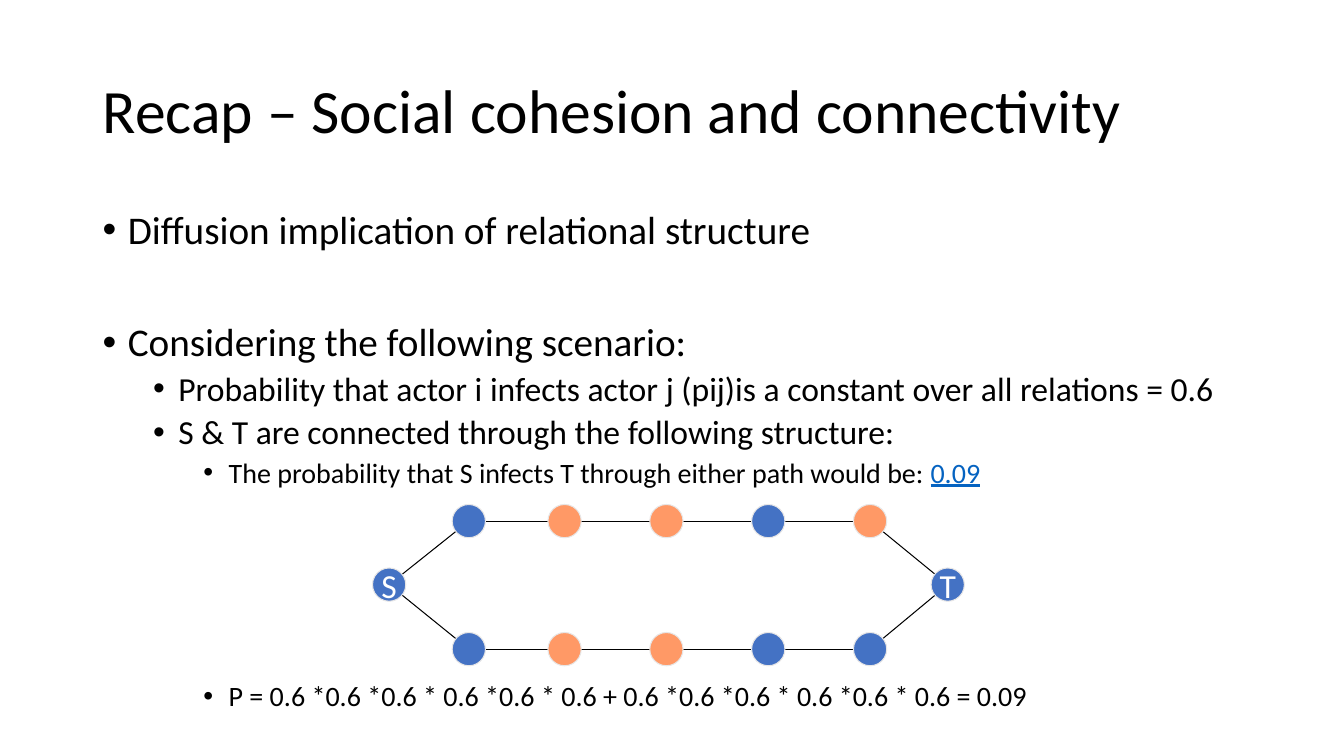
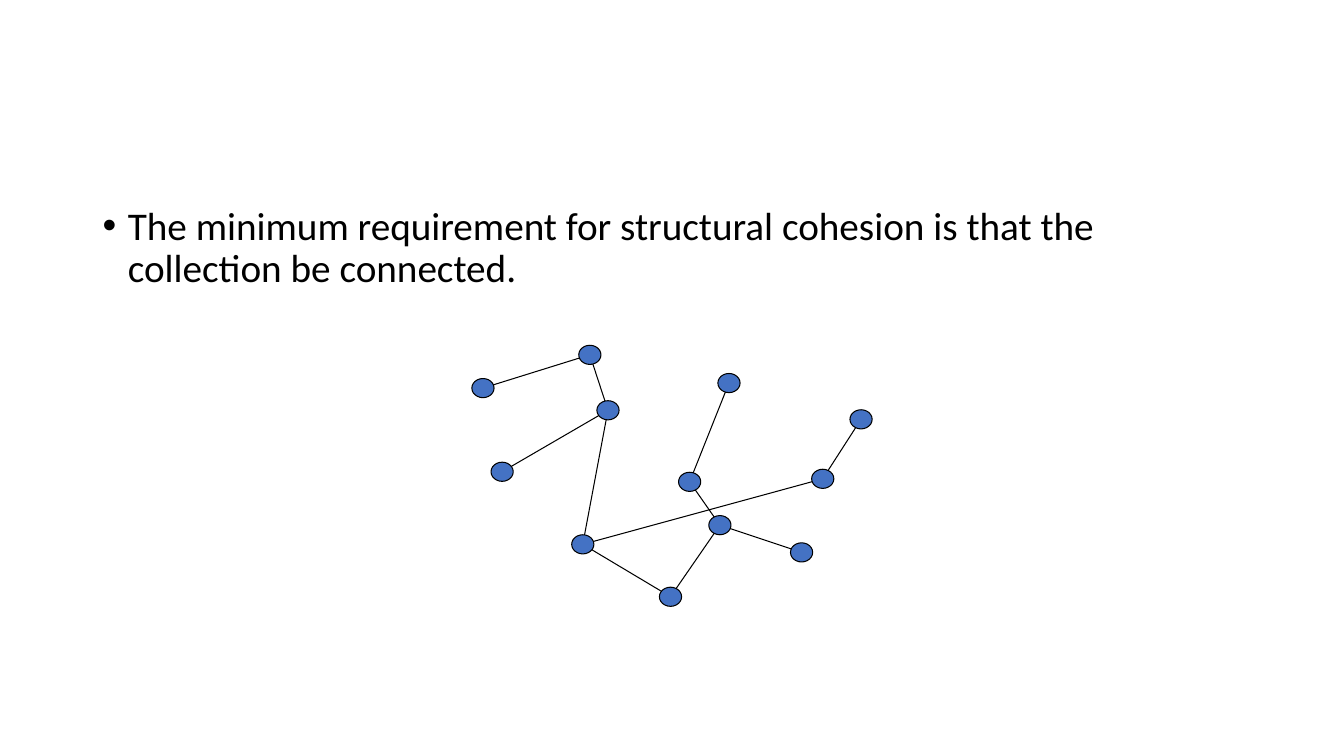
from lxml.etree import SubElement as SubEl
from pptx import Presentation
from pptx.dml.color import RGBColor as RGB
from pptx.enum.shapes import MSO_CONNECTOR as CONN, MSO_SHAPE as SHAPE
from pptx.enum.text import MSO_ANCHOR as ANCHOR, PP_ALIGN as ALIGN
from pptx.oxml.ns import qn
from pptx.util import Inches, Pt

FONT = "Calibri"
BLACK, WHITE, BLUE = "000000", "FFFFFF", "4472C4"
CORAL, GREY, LINK = "FF9966", "E7E6E6", "0563C1"
LEFT, WIDTH = 0.92, 11.5
SIZES = (28, 24, 20)

STEPS = [
    (0, 0, ["Diffusion implication of relational structure"]),
    (0, 50, ["Considering the following scenario:"]),
    (1, 5, ["Probability that actor i infects actor j (pij)is a constant over all relations = 0.6"]),
    (1, 5, ["S & T are connected through the following structure:"]),
    (2, 5, ["The probability that S infects T through either path would be: ", "0.09"]),
    (2, 138, ["P = 0.6 *0.6 *0.6 * 0.6 *0.6 * 0.6 + 0.6 *0.6 *0.6 * 0.6 *0.6 * 0.6 = 0.09"]),
]
RULE = [(0, 0, ["The minimum requirement for structural cohesion is that the collection be connected."])]

COLS = (4.65, 5.6, 6.61, 7.62, 8.63)
ROWS = {
    5.17: (BLUE, CORAL, CORAL, BLUE, CORAL),
    6.44: (BLUE, CORAL, CORAL, BLUE, BLUE),
}
ENDS = {"S": (3.86, 5.8), "T": (9.4, 5.8)}

DOTS = {
    "a": (4.79, 3.85), "b": (5.85, 3.52), "c": (4.98, 4.68), "d": (6.03, 4.07),
    "e": (6.84, 4.78), "f": (7.23, 3.8), "g": (5.78, 5.4), "h": (7.14, 5.21),
    "i": (6.65, 5.92), "j": (8.16, 4.75), "k": (8.54, 4.16), "l": (7.95, 5.48),
}
TIES = "ab ef kj gi dc hl gj bd dg ih he".split()


def color(text):
    """Turn a hex string into a colour."""
    return RGB.from_string(text)


def style(obj, form):
    """Set each attribute named in a dict."""
    for key, value in form.items():
        setattr(obj, key, value)


def write(par, text, size, tint=BLACK, **form):
    """Add a formatted run to a paragraph."""
    run = par.add_run()
    run.text = text
    style(run.font, {"name": FONT, "size": Pt(size), **form})
    run.font.color.rgb = color(tint)


def box(slide, top, height, anchor):
    """Add a wrapping text frame on the shared column."""
    frame = slide.shapes.add_textbox(
        Inches(LEFT), Inches(top), Inches(WIDTH), Inches(height)).text_frame
    style(frame, {"word_wrap": True, "vertical_anchor": anchor})
    return frame


def title(slide, text):
    """Add the slide title."""
    par = box(slide, 0.4, 1.45, ANCHOR.MIDDLE).paragraphs[0]
    par.line_spacing = 0.9
    write(par, text, 44)


def bullets(slide, top, height, items):
    """Add a list of levelled bullets, with second runs underlined."""
    frame = box(slide, top, height, ANCHOR.TOP)
    for num, (level, gap, parts) in enumerate(items):
        par = frame.add_paragraph() if num else frame.paragraphs[0]
        style(par, {"level": level, "line_spacing": 0.9, "space_before": Pt(gap)})
        props = par._p.get_or_add_pPr()
        props.set("marL", str(Inches(0.25 + level * 0.5)))
        props.set("indent", str(Inches(-0.25)))
        SubEl(props, qn("a:buFont")).set("typeface", "Arial")
        SubEl(props, qn("a:buChar")).set("char", "•")
        write(par, parts[0], SIZES[level])
        for part in parts[1:]:
            write(par, part, SIZES[level], LINK, underline=True)


def edge(group, start, end):
    """Join two points with a thin line."""
    line = group.shapes.add_connector(
        CONN.STRAIGHT, *(Inches(v) for v in (*start, *end)))
    line.line.width = Pt(0.75)
    line.line.color.rgb = color(BLACK)
    SubEl(line._element.spPr, qn("a:effectLst"))


def node(group, spot, size, fill, rim, text=""):
    """Add an ellipse centred on a point."""
    (x, y), (wide, high) = spot, size
    dot = group.shapes.add_shape(
        SHAPE.OVAL, Inches(x - wide / 2), Inches(y - high / 2), Inches(wide), Inches(high))
    dot.shadow.inherit = False
    dot.fill.solid()
    dot.fill.fore_color.rgb = color(fill)
    dot.line.width = Pt(0.75)
    dot.line.color.rgb = color(rim)
    if text:
        frame = dot.text_frame
        sides = ("left", "right", "top", "bottom")
        style(frame, {f"margin_{side}": 0 for side in sides})
        style(frame, {"word_wrap": False, "vertical_anchor": ANCHOR.MIDDLE})
        frame.paragraphs[0].alignment = ALIGN.CENTER
        write(frame.paragraphs[0], text, 24, WHITE)


def paths(slide):
    """Draw the two paths between S and T."""
    group = slide.shapes.add_group_shape()
    size = (0.33, 0.33)
    for y in ROWS:
        first, last = (COLS[0], y), (COLS[-1], y)
        edge(group, ENDS["S"], first)
        edge(group, first, last)
        edge(group, last, ENDS["T"])
    for y, fills in ROWS.items():
        for x, fill in zip(COLS, fills):
            node(group, (x, y), size, fill, GREY)
    for name, spot in ENDS.items():
        node(group, spot, size, BLUE, GREY, name)


def web(slide):
    """Draw the connected collection."""
    group = slide.shapes.add_group_shape()
    for start, end in TIES:
        edge(group, DOTS[start], DOTS[end])
    for spot in DOTS.values():
        node(group, spot, (0.22, 0.19), BLUE, BLACK)


def main():
    """Build and save the deck."""
    deck = Presentation()
    style(deck, {"slide_width": Inches(13.33), "slide_height": Inches(7.5)})
    blank = deck.slide_layouts[6]

    recap = deck.slides.add_slide(blank)
    title(recap, "Recap – Social cohesion and connectivity")
    bullets(recap, 2.04, 5.25, STEPS)
    paths(recap)

    minimum = deck.slides.add_slide(blank)
    bullets(minimum, 2, 4.76, RULE)
    web(minimum)

    deck.save("out.pptx")


if __name__ == "__main__":
    main()
